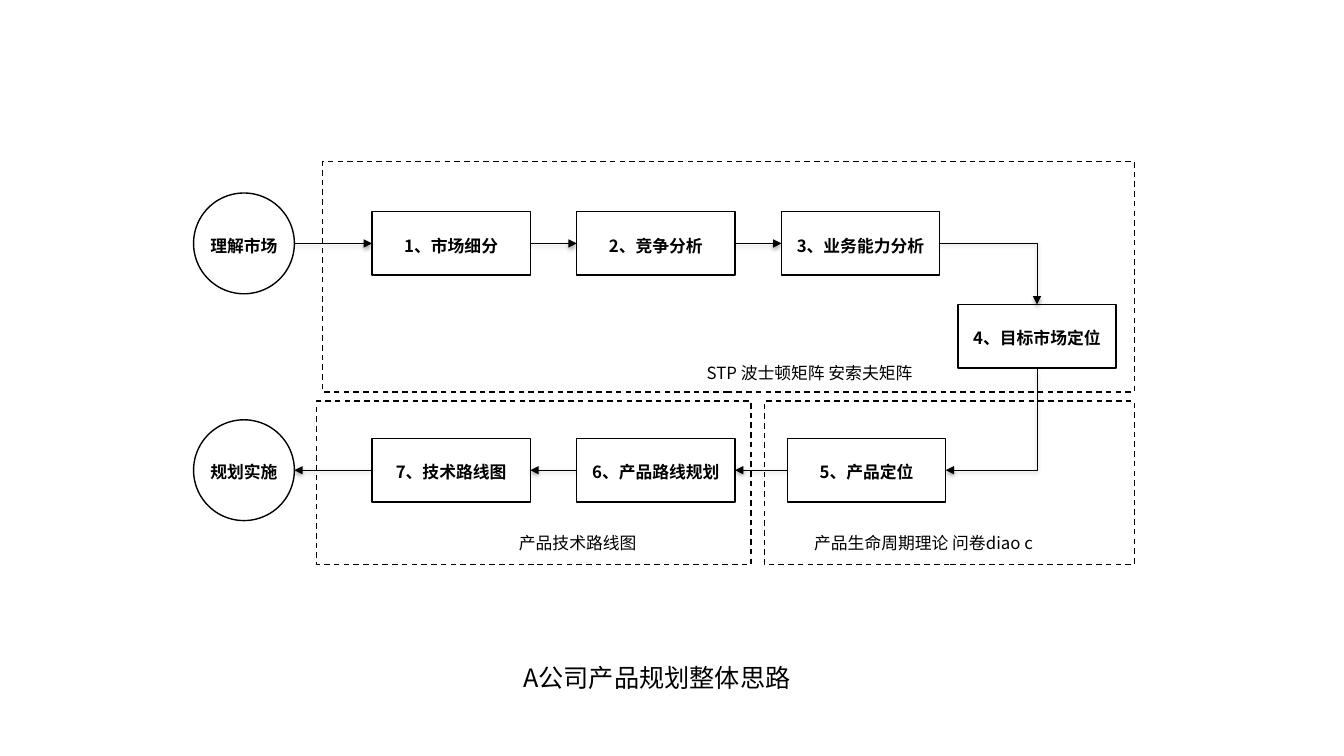
from lxml import etree
from pptx import Presentation
from pptx import util as u
from pptx.dml.color import RGBColor
from pptx.enum import dml, shapes, text
from pptx.oxml import ns

BLACK = RGBColor(0, 0, 0)
WHITE = RGBColor(255, 255, 255)
FONT = "Noto Sans CJK SC"

# Flow grid, in inches
FIRST_COLUMN, COLUMN_PITCH = 3.69, 2.03
TOP_ROW, ROW_PITCH = 2.1, 2.25
STEP_WIDTH, STEP_HEIGHT = 1.57, 0.63
CIRCLE_SIZE = 1

# Connection sites of a rectangle, and the right-hand one of a circle
TOP, LEFT, BOTTOM, RIGHT = range(4)
CIRCLE_RIGHT = "6"


def write(shape, content, size=12, bold=False, inset=0):
    frame = shape.text_frame
    frame.text = content
    frame.word_wrap = True
    frame.auto_size = text.MSO_AUTO_SIZE.NONE
    frame.vertical_anchor = text.MSO_ANCHOR.MIDDLE
    frame.margin_left = frame.margin_right = u.Inches(inset)
    frame.margin_top = frame.margin_bottom = 0
    paragraph = frame.paragraphs[0]
    paragraph.alignment = text.PP_ALIGN.CENTER
    paragraph.line_spacing = 1.2
    for run in paragraph.runs:
        run.font.name = FONT
        run.font.size = u.Pt(size)
        run.font.bold = bold
        run.font.color.rgb = BLACK
        east_asian = etree.SubElement(run.font._element, ns.qn("a:ea"))
        east_asian.set("typeface", FONT)


def add_outline(kind, left, top, width, height):
    """Add an unfilled shape with a thin black outline and no shadow."""
    shape = slide.shapes.add_shape(kind, *map(u.Inches, (left, top, width, height)))
    shape.shadow.inherit = False
    shape.fill.background()
    shape.line.color.rgb = BLACK
    shape.line.width = u.Pt(1)
    return shape


presentation = Presentation()
presentation.slide_width = u.Inches(13.33)
presentation.slide_height = u.Inches(7.5)
slide = presentation.slides.add_slide(presentation.slide_layouts[5])

title = slide.shapes.title
title.left, title.top = u.Inches(4.24), u.Inches(6.52)
title.width, title.height = u.Inches(4.55), u.Inches(0.34)
write(title, "A公司产品规划整体思路", size=18)

# Dashed frames around the phases
for frame_box in ((3.14, 3.98, 4.31, 1.62), (7.58, 3.98, 3.67, 1.62), (3.2, 1.6, 8.05, 2.29)):
    phase = add_outline(shapes.MSO_SHAPE.RECTANGLE, *frame_box)
    phase.fill.solid()
    phase.fill.fore_color.rgb = WHITE
    phase.line.dash_style = dml.MSO_LINE.DASH

# Numbered steps: label, column, row, shift off the grid
steps = []
for label, column, row, across, down in (
    ("1、市场细分", 0, 0, 0, 0),
    ("2、竞争分析", 1, 0, 0, 0),
    ("3、业务能力分析", 2, 0, 0, 0),
    ("4、目标市场定位", 2, 0, 1.75, 0.92),
    ("5、产品定位", 2, 1, 0.06, 0),
    ("6、产品路线规划", 1, 1, 0, 0),
    ("7、技术路线图", 0, 1, 0, 0),
):
    step = add_outline(
        shapes.MSO_SHAPE.RECTANGLE,
        FIRST_COLUMN + column * COLUMN_PITCH + across,
        TOP_ROW + row * ROW_PITCH + down,
        STEP_WIDTH,
        STEP_HEIGHT,
    )
    write(step, label, bold=True, inset=0.14)
    steps.append(step)

# Start and end circles, centred on their rows
circles = []
for row, label in enumerate(("理解市场", "规划实施")):
    circle_top = TOP_ROW + row * ROW_PITCH + (STEP_HEIGHT - CIRCLE_SIZE) / 2
    circle = add_outline(shapes.MSO_SHAPE.OVAL, 1.92, circle_top, CIRCLE_SIZE, CIRCLE_SIZE)
    write(circle, label, bold=True)
    circle.text_frame.word_wrap = False
    circles.append(circle)

# Methods used in each phase
for label, left, top, width in (
    ("STP 波士顿矩阵 安索夫矩阵", 6.17, 3.57, 3.72),
    ("产品生命周期理论 问卷diao c", 7.3, 5.25, 3.72),
    ("产品技术路线图", 4.31, 5.25, 2.84),
):
    methods = slide.shapes.add_textbox(*map(u.Inches, (left, top, width, 0.22)))
    write(methods, label)

# Arrows: from shape and site, to shape and site, arrowhead end
market, rollout = circles
segment, compete, ability, target, position, route, technology = steps
for source, source_site, goal, goal_site, arrow_end in (
    (market, RIGHT, segment, LEFT, "a:tailEnd"),
    (segment, RIGHT, compete, LEFT, "a:tailEnd"),
    (compete, RIGHT, ability, LEFT, "a:tailEnd"),
    (ability, RIGHT, target, TOP, "a:tailEnd"),
    (position, RIGHT, target, BOTTOM, "a:headEnd"),
    (position, LEFT, route, RIGHT, "a:tailEnd"),
    (route, LEFT, technology, RIGHT, "a:tailEnd"),
    (technology, LEFT, rollout, RIGHT, "a:tailEnd"),
):
    bent = goal is target
    kind = shapes.MSO_CONNECTOR.ELBOW if bent else shapes.MSO_CONNECTOR.STRAIGHT
    arrow = slide.shapes.add_connector(kind, 0, 0, 0, 0)
    arrow.begin_connect(source, source_site)
    arrow.end_connect(goal, goal_site)
    # A circle has eight sites, so its right-hand one has another number
    links = arrow._element.nvCxnSpPr.cNvCxnSpPr
    if source is market:
        links.stCxn.set("idx", CIRCLE_RIGHT)
    if goal is rollout:
        links.endCxn.set("idx", CIRCLE_RIGHT)
    if bent:
        arrow._element.spPr.find(ns.qn("a:prstGeom")).set("prst", "bentConnector2")
    arrow.line.color.rgb = BLACK
    arrow.line.width = u.Pt(0.5)
    etree.SubElement(arrow.line._get_or_add_ln(), ns.qn(arrow_end)).set("type", "triangle")

presentation.save("out.pptx")
